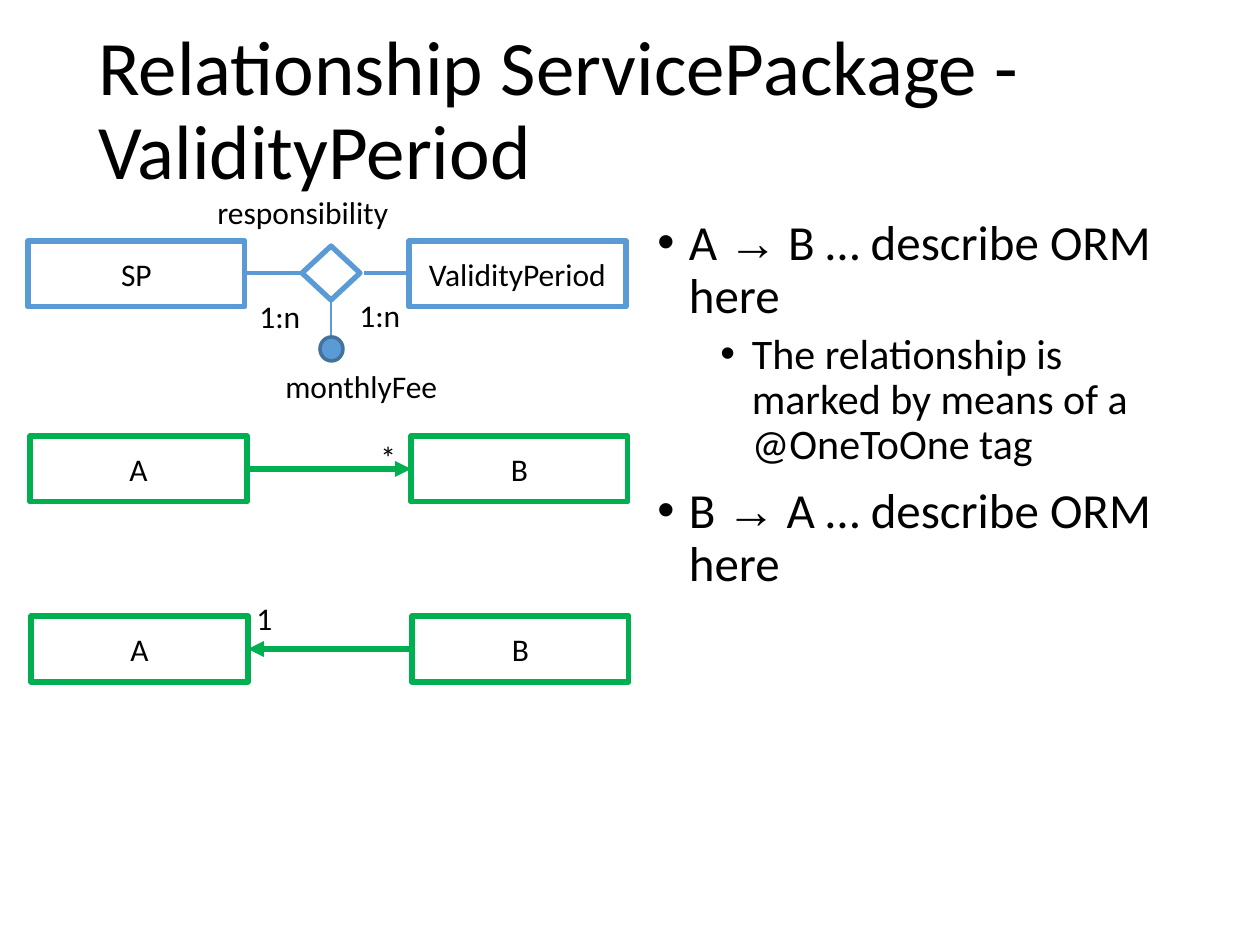
"""Build the slide on the ServicePackage - ValidityPeriod relationship."""
from dataclasses import dataclass

from pptx import Presentation, util as u
from pptx.dml.color import RGBColor
from pptx.enum import shapes, text
from pptx.oxml.ns import qn
from lxml import etree

PX_PER_INCH = 126
ENTITY_W, ENTITY_H, PAIR_STEP = 217, 66, 381


@dataclass(frozen=True)
class Theme:
    """Colours, fonts and type sizes."""
    ink: str = "000000"
    paper: str = "FFFFFF"
    blue: str = "5B9BD5"
    dark_blue: str = "43729D"
    green: str = "00B050"
    font: str = "Calibri"
    symbol_font: str = "Arial"
    title: int = 44
    body: int = 28
    sub: int = 24
    label: int = 18


THEME = Theme()


def px(n):
    """Turn pixels into EMU."""
    return u.Inches(n / PX_PER_INCH)


def write(p, words, size=THEME.label, font=THEME.font, color=THEME.ink, align=None):
    """Add a formatted run to a paragraph."""
    r = p.add_run()
    r.text = words
    r.font.size = u.Pt(size)
    r.font.name = font
    r.font.color.rgb = RGBColor.from_string(color)
    if align is not None:
        p.alignment = align


def add_box(slide, x, y, w, h, anchor=text.MSO_ANCHOR.TOP):
    """Add a wrapping text box and return its frame."""
    tf = slide.shapes.add_textbox(px(x), px(y), px(w), px(h)).text_frame
    tf.word_wrap = True
    tf.vertical_anchor = anchor
    return tf


def add_label(slide, words, x, y, w, h=50):
    """Add a diagram label."""
    write(add_box(slide, x, y, w, h).paragraphs[0], words)


def add_title(slide, words):
    """Add the slide title."""
    p = add_box(slide, 86, 21, 1086, 183, text.MSO_ANCHOR.MIDDLE).paragraphs[0]
    p.line_spacing = 0.9
    write(p, words, size=THEME.title)


def add_bullet(p, level, space):
    """Give a paragraph its bullet, indent and spacing."""
    p.level = level
    p.line_spacing = 0.9
    p.space_before = u.Pt(space)
    pPr = p._p.get_or_add_pPr()
    pPr.set("marL", str(u.Inches(0.25 + 0.5 * level)))
    pPr.set("indent", str(u.Inches(-0.25)))
    etree.SubElement(pPr, qn("a:buFont"), typeface=THEME.symbol_font)
    etree.SubElement(pPr, qn("a:buChar"), char="•")


def add_notes_list(slide, items):
    """Add the bulleted list, setting arrows in the symbol font."""
    tf = add_box(slide, 645, 212, 536, 600)
    for i, (level, words) in enumerate(items):
        p = tf.add_paragraph() if i else tf.paragraphs[0]
        add_bullet(p, level, 5 if level else 10)
        size = THEME.sub if level else THEME.body
        before, arrow, after = words.partition("→")
        write(p, before, size=size)
        if arrow:
            write(p, arrow, size=size, font=THEME.symbol_font)
            write(p, after, size=size)


def add_node(slide, kind, x, y, w, h, line, fill=None, width=3):
    """Add an outlined preset shape."""
    sp = slide.shapes.add_shape(kind, px(x), px(y), px(w), px(h))
    sp.shadow.inherit = False
    if fill:
        sp.fill.solid()
        sp.fill.fore_color.rgb = RGBColor.from_string(fill)
    else:
        sp.fill.background()
    sp.line.color.rgb = RGBColor.from_string(line)
    sp.line.width = u.Pt(width)
    return sp


def add_pair(slide, names, x, y, line, fill=None):
    """Add two named entity boxes side by side."""
    for i, name in enumerate(names):
        sp = add_node(slide, shapes.MSO_SHAPE.RECTANGLE, x + i * PAIR_STEP, y,
                      ENTITY_W, ENTITY_H, line, fill)
        tf = sp.text_frame
        tf.vertical_anchor = text.MSO_ANCHOR.MIDDLE
        write(tf.paragraphs[0], name, align=text.PP_ALIGN.CENTER)


def add_line(slide, start, end, color, width, arrow=None):
    """Add a straight line, with an arrowhead at headEnd or tailEnd."""
    sp = slide.shapes.add_connector(shapes.MSO_CONNECTOR.STRAIGHT,
                                    *map(px, start + end))
    sp.line.color.rgb = RGBColor.from_string(color)
    sp.line.width = u.Pt(width)
    if arrow:
        etree.SubElement(sp.line._get_or_add_ln(), qn("a:" + arrow), type="triangle")
    etree.SubElement(sp._element.spPr, qn("a:effectLst"))


def add_er_diagram(slide):
    """Draw the entity-relationship diagram with its attribute."""
    add_pair(slide, ("SP", "ValidityPeriod"), 28, 241, THEME.blue, THEME.paper)
    add_node(slide, shapes.MSO_SHAPE.DIAMOND, 304, 244, 54, 58,
             THEME.blue, THEME.paper).rotation = 90
    add_line(slide, (409, 273), (364, 273), THEME.blue, 2.25)
    add_line(slide, (302, 273), (245, 273), THEME.blue, 2.25)
    add_label(slide, "1:n", 347, 290, 76)
    add_label(slide, "1:n", 247, 291, 76)
    add_label(slide, "responsibility", 205, 187, 234)
    add_line(slide, (331, 341), (331, 300), THEME.blue, 0.75)
    add_node(slide, shapes.MSO_SHAPE.OVAL, 320, 337, 23, 24,
             THEME.dark_blue, THEME.blue, 2)
    add_label(slide, "monthlyFee", 273, 361, 178, 88)


def add_direction(slide, x, y, arrow):
    """Draw one direction of the A and B association."""
    add_pair(slide, "AB", x, y, THEME.green)
    middle = y + ENTITY_H // 2
    add_line(slide, (x + PAIR_STEP, middle), (x + ENTITY_W, middle),
             THEME.green, 3, arrow)


def main():
    """Build and save the slide."""
    prs = Presentation()
    prs.slide_width, prs.slide_height = px(1260), px(945)
    slide = prs.slides.add_slide(prs.slide_layouts[6])
    add_title(slide, "Relationship ServicePackage - ValidityPeriod")
    add_notes_list(slide, [
        (0, "A → B … describe ORM here"),
        (1, "The relationship is marked by means of a @OneToOne tag"),
        (0, "B → A … describe ORM here"),
    ])
    add_er_diagram(slide)
    add_direction(slide, 30, 436, "headEnd")
    add_direction(slide, 31, 616, "tailEnd")
    add_label(slide, "*", 368, 432, 40)
    add_label(slide, "1", 244, 593, 44)
    prs.save("out.pptx")


if __name__ == "__main__":
    main()
